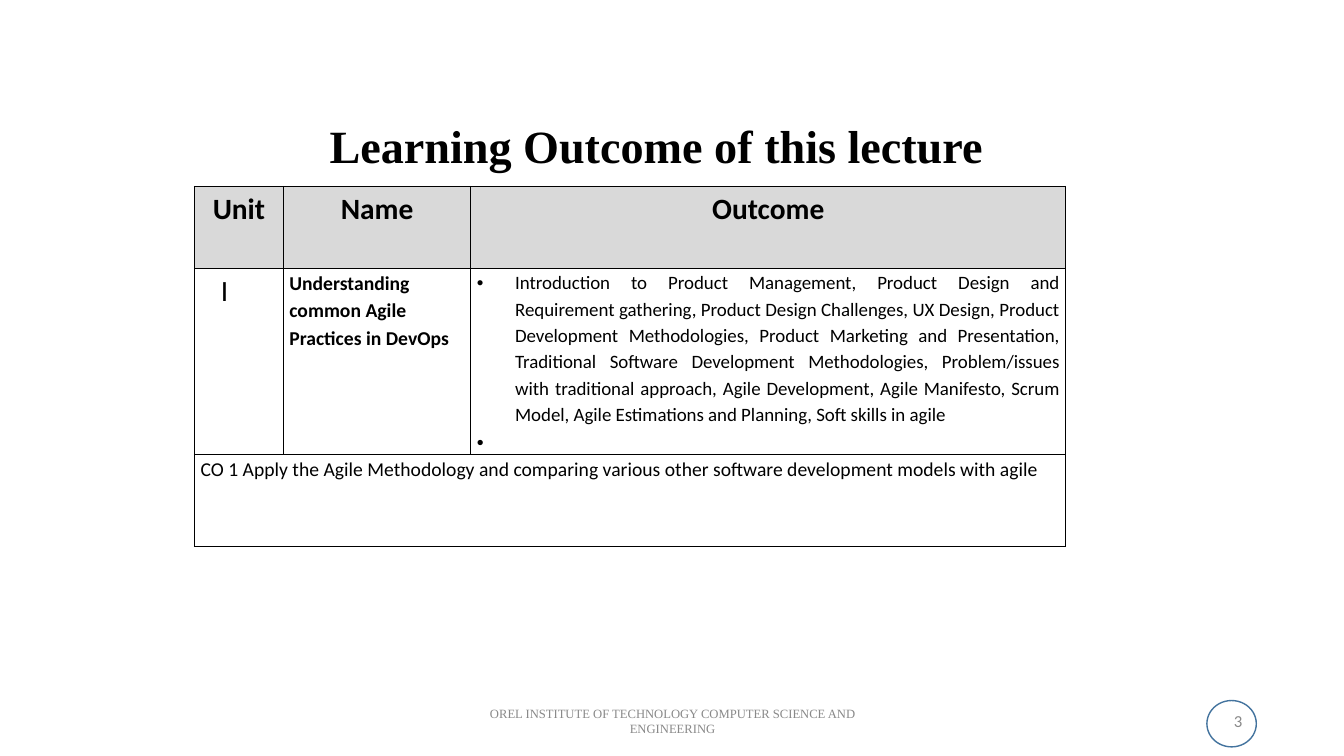
from lxml import etree
from pptx import Presentation
from pptx.dml.color import RGBColor
from pptx.enum.shapes import MSO_SHAPE as Shape
from pptx.enum.text import MSO_ANCHOR as Anchor, PP_ALIGN as Align
from pptx.oxml.ns import qn
from pptx.util import Inches, Pt

COLORS = {"ink": "000000", "header": "D9D9D9", "paper": "FFFFFF",
          "muted": "898989", "ring": "43739E"}
SERIF, SANS = "Times New Roman", "Calibri"

COLUMN_WIDTHS = [0.88, 1.86, 5.9]
ROW_HEIGHTS = [0.81, 1.85, 0.91]
HEADINGS = ["Unit", "Name", "Outcome"]
TOPICS = (
    "Introduction to Product Management, Product Design and Requirement gathering, "
    "Product Design Challenges, UX Design, Product Development Methodologies, "
    "Product Marketing and Presentation, Traditional Software Development Methodologies, "
    "Problem/issues with traditional approach, Agile Development, Agile Manifesto, "
    "Scrum Model, Agile Estimations and Planning, Soft skills in agile"
)
COURSE_OUTCOME = ("CO 1 Apply the Agile Methodology and comparing various other "
                  "software development models with agile")


def color(name):
    return RGBColor.from_string(COLORS[name])


def write(para, text, size, font=SANS, ink="ink", bold=False, align=Align.LEFT, spacing=1.0):
    para.alignment = align
    para.line_spacing = spacing
    span = para.add_run()
    span.text = text
    span.font.size = Pt(size)
    span.font.name = font
    span.font.bold = bold
    span.font.color.rgb = color(ink)


def indent(para, left, first=0.0, bullet=None):
    props = para._p.get_or_add_pPr()
    props.set("marL", str(Inches(left)))
    props.set("indent", str(Inches(first)))
    if bullet:
        etree.SubElement(props, qn("a:buFont"), typeface="Arial")
        etree.SubElement(props, qn("a:buChar"), char=bullet)


def add_title(page, text):
    title = page.shapes.title
    title.left, title.top = Inches(2.36), Inches(1.05)
    title.width, title.height = Inches(8.3), Inches(0.72)
    title.text_frame.vertical_anchor = Anchor.BOTTOM
    write(title.text_frame.paragraphs[0], text, 33, SERIF, bold=True,
          align=Align.CENTER, spacing=0.9)


def add_footer_text(page, left, width, text, size, font, align):
    box = page.shapes.add_textbox(Inches(left), Inches(6.95), Inches(width), Inches(0.4))
    box.text_frame.word_wrap = True
    box.text_frame.vertical_anchor = Anchor.MIDDLE
    write(box.text_frame.paragraphs[0], text, size, font, "muted", align=align)


def add_number_ring(page):
    ring = page.shapes.add_shape(Shape.OVAL, Inches(11.97), Inches(6.95),
                                 Inches(0.49), Inches(0.46))
    ring.shadow.inherit = False
    ring.fill.background()
    ring.line.color.rgb = color("ring")
    ring.line.width = Pt(1)


def style_cell(cell, fill):
    cell.margin_left = cell.margin_right = Inches(0.06)
    cell.margin_top = cell.margin_bottom = 0
    props = cell._tc.get_or_add_tcPr()
    for side in ("lnL", "lnR", "lnT", "lnB"):
        line = etree.SubElement(props, qn(f"a:{side}"), w=str(Pt(1)))
        solid = etree.SubElement(line, qn("a:solidFill"))
        etree.SubElement(solid, qn("a:srgbClr"), val=COLORS["ink"])
    cell.fill.solid()
    cell.fill.fore_color.rgb = color(fill)


def add_outcome_table(page):
    table = page.shapes.add_table(
        len(ROW_HEIGHTS), len(COLUMN_WIDTHS), Inches(1.93), Inches(1.85),
        Inches(sum(COLUMN_WIDTHS)), Inches(sum(ROW_HEIGHTS))).table
    table.first_row = table.horz_banding = False
    for column, width in zip(table.columns, COLUMN_WIDTHS):
        column.width = Inches(width)
    for index, (row, height) in enumerate(zip(table.rows, ROW_HEIGHTS)):
        row.height = Inches(height)
        for cell in row.cells:
            style_cell(cell, "paper" if index else "header")
    table.cell(2, 0).merge(table.cell(2, 2))

    # Header row
    for column, heading in enumerate(HEADINGS):
        write(table.cell(0, column).text_frame.paragraphs[0], heading, 21,
              bold=True, align=Align.CENTER, spacing=1.15)

    # Unit row
    unit, name, outcome = [table.cell(1, column).text_frame for column in range(3)]
    write(unit.paragraphs[0], "I", 21, spacing=1.15)
    indent(unit.paragraphs[0], 0.2)
    write(name.paragraphs[0], "Understanding common Agile Practices in DevOps", 14,
          bold=True, spacing=1.15)
    # The second bullet stands alone
    for para, text, size in ((outcome.paragraphs[0], TOPICS, 13.5),
                             (outcome.add_paragraph(), " ", 14)):
        write(para, text, size, align=Align.JUSTIFY, spacing=1.15)
        indent(para, 0.38, -0.38, "•")

    # Course outcome row
    write(table.cell(2, 0).text_frame.paragraphs[0], COURSE_OUTCOME, 14, spacing=1.15)


def main():
    deck = Presentation()
    deck.slide_width, deck.slide_height = Inches(13.33), Inches(7.5)
    page = deck.slides.add_slide(deck.slide_layouts[5])

    add_number_ring(page)
    add_title(page, "Learning Outcome of this lecture")
    add_outcome_table(page)

    # Footer
    add_footer_text(page, 9.42, 3, "3", 12, SANS, Align.RIGHT)
    add_footer_text(page, 4.42, 4.5,
                    "OREL INSTITUTE OF TECHNOLOGY COMPUTER SCIENCE AND ENGINEERING",
                    9, SERIF, Align.CENTER)
    deck.save("out.pptx")


if __name__ == "__main__":
    main()
